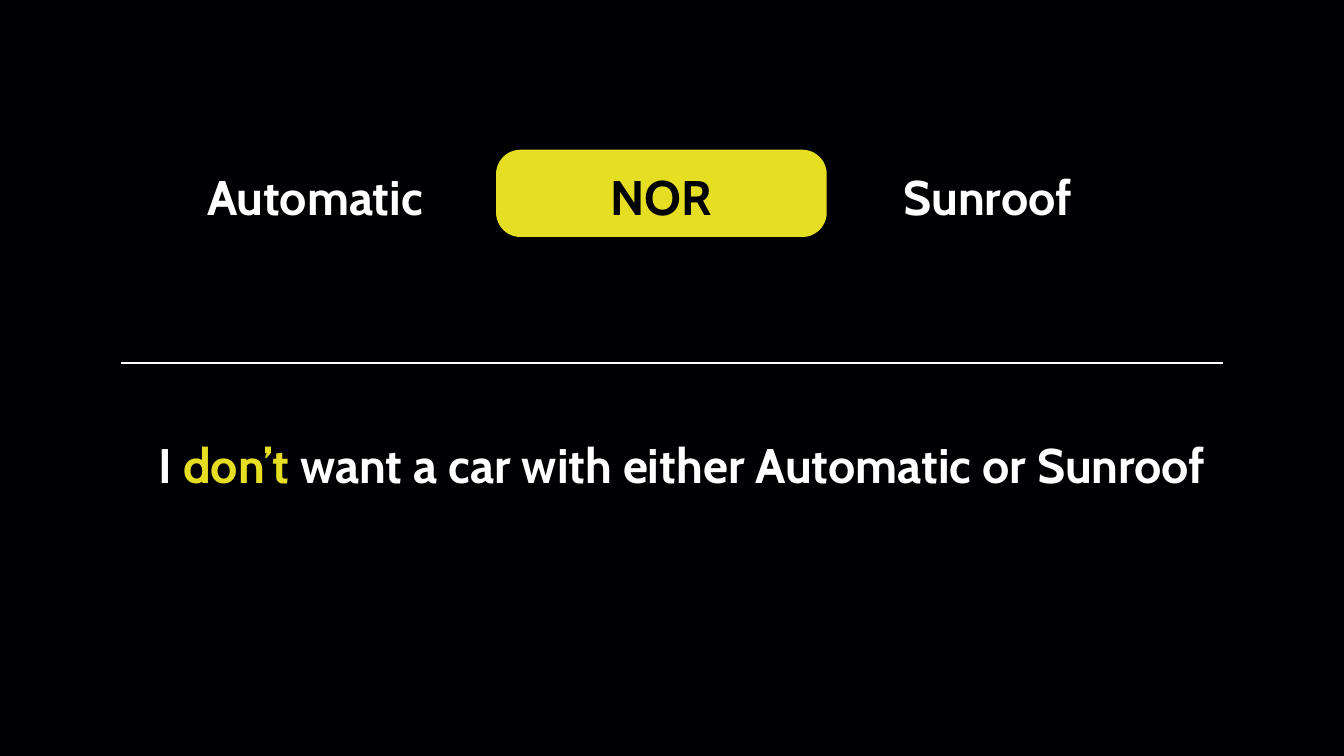
"""Build a slide that explains the NOR operator with a car example."""
from lxml import etree
from pptx import Presentation
from pptx import util as u
from pptx.dml.color import RGBColor
from pptx.enum import shapes, text
from pptx.oxml.ns import qn

Cm, Pt = u.Cm, u.Pt
HUES = {"back": "000002", "pill": "E6DE22", "dark": "000000", "light": "FFFFFF"}


def hue(name):
    return RGBColor.from_string(HUES[name])


deck = Presentation()
deck.slide_width, deck.slide_height = Cm(50.8), Cm(28.58)
slide = deck.slides.add_slide(deck.slide_layouts[6])
slide.background.fill.solid()
slide.background.fill.fore_color.rgb = hue("back")

pill = slide.shapes.add_shape(
    shapes.MSO_SHAPE.ROUNDED_RECTANGLE, Cm(18.75), Cm(5.66), Cm(12.5), Cm(3.3))
pill.adjustments[0] = 0.28
pill.shadow.inherit = False
pill.fill.solid()
pill.fill.fore_color.rgb = hue("pill")
pill.line.fill.background()

rule = slide.shapes.add_connector(
    shapes.MSO_CONNECTOR.STRAIGHT, Cm(4.57), Cm(13.72), Cm(46.23), Cm(13.72))
rule.line.color.rgb = hue("light")
rule.line.width = Pt(3)
etree.SubElement(rule._element.spPr, qn("a:effectLst"))

labels = [
    (18.75, 5.94, 12.5, 2.46, [("NOR", "dark")]),
    (7.21, 5.94, 9.4, 2.46, [("Automatic", "light")]),
    (33.73, 5.94, 7.21, 2.46, [("Sunroof", "light")]),
    (3.1, 16.08, 45.36, 5.03, [
        ("I ", "light"), ("don’t", "pill"),
        (" want a car with either Automatic or Sunroof", "light")]),
]
for left, top, width, height, parts in labels:
    box = slide.shapes.add_textbox(Cm(left), Cm(top), Cm(width), Cm(height))
    frame = box.text_frame
    frame.word_wrap = True
    frame.margin_left = frame.margin_right = 0
    frame.margin_top = frame.margin_bottom = 0
    para = frame.paragraphs[0]
    para.alignment = text.PP_ALIGN.CENTER
    para.line_spacing = Pt(72.8)
    for words, color in parts:
        run = para.add_run()
        run.text = words
        run.font.name = "Cabin"
        run.font.size = Pt(52)
        run.font.bold = True
        run.font.color.rgb = hue(color)

deck.save("out.pptx")
